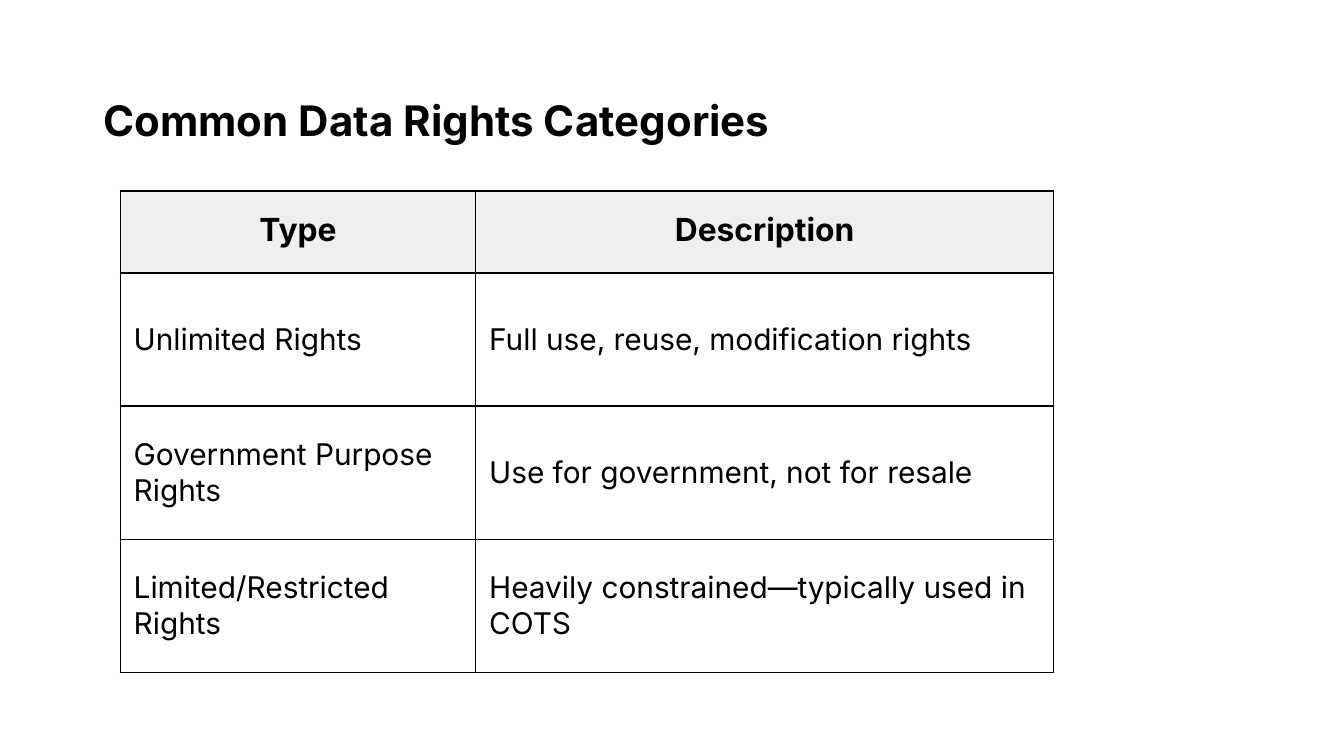
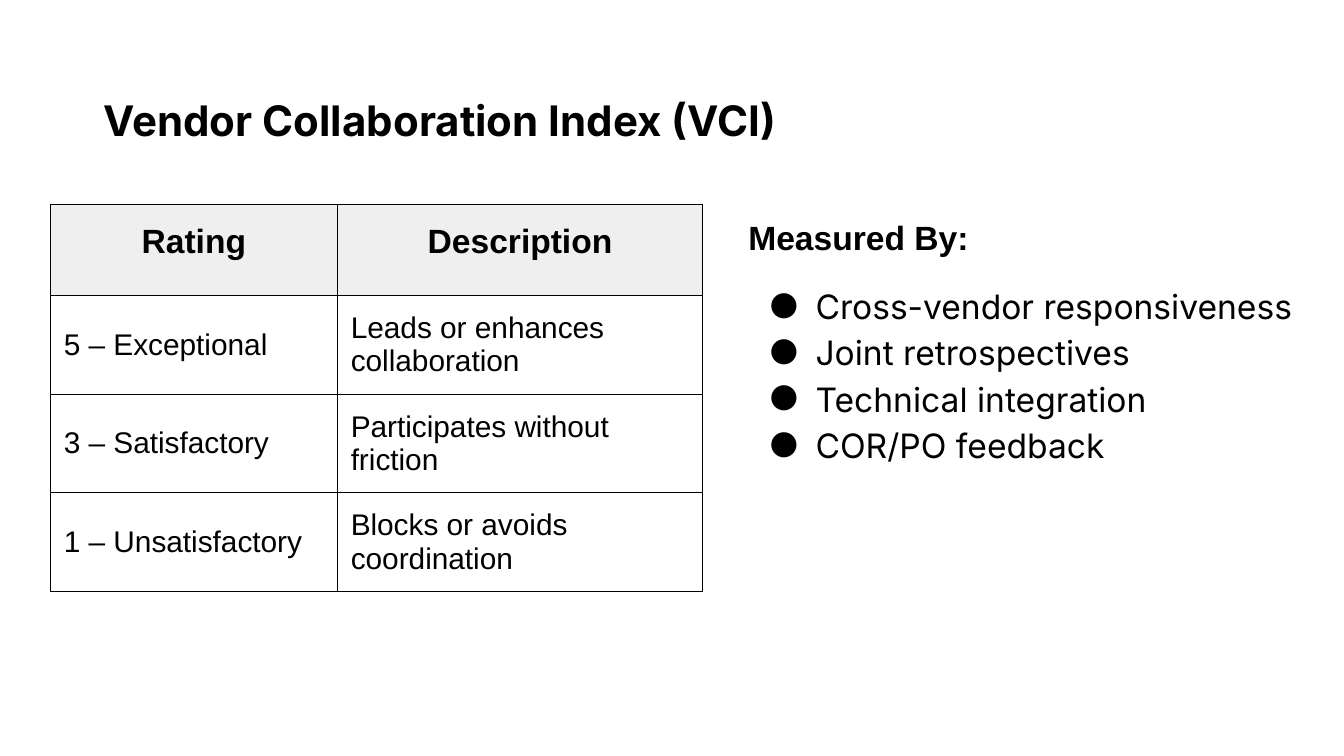
from lxml import etree
from pptx import Presentation
from pptx.dml.color import RGBColor
from pptx.enum.text import MSO_ANCHOR, PP_ALIGN
from pptx.oxml.ns import qn
from pptx.util import Inches, Pt

BLACK, GREY, WHITE = "000000", "EFEFEF", "FFFFFF"
HEAD_FONT = "Inter"
PAD = Inches(0.1)

prs = Presentation()
prs.slide_width, prs.slide_height = Inches(10), Inches(10) * 9 // 16
# Grid units: one percent of the slide's width and height
COL, ROW = prs.slide_width / 100, prs.slide_height / 100


def rgb(color):
    return RGBColor.from_string(color)


def style(p, font, size, bold=False, spacing=None):
    if spacing:
        p.line_spacing = spacing
    for r in p.runs:
        r.font.name, r.font.size, r.font.bold = font, Pt(size), bold
        r.font.color.rgb = rgb(BLACK)


# Places, widths and heights are in grid units
slides = [
    dict(title="Common Data Rights Categories", font="Inter", head_size=17,
         left=8.95, top=25.25, widths=[26.45, 43], head_row=10.85, body_row=17.62,
         rows=[("Type", "Description"),
               ("Unlimited Rights", "Full use, reuse, modification rights"),
               ("Government Purpose Rights", "Use for government, not for resale"),
               ("Limited/Restricted Rights",
                "Heavily constrained—typically used in COTS")]),
    dict(title="Vendor Collaboration Index (VCI)", font="Arial", head_size=18,
         left=3.75, top=27.02, widths=[21.35, 27.2], head_row=12.1, body_row=11,
         rows=[("Rating", "Description"),
               ("5 – Exceptional", "Leads or enhances collaboration"),
               ("3 – Satisfactory", "Participates without friction"),
               ("1 – Unsatisfactory", "Blocks or avoids coordination")]),
]

for data in slides:
    s = prs.slides.add_slide(prs.slide_layouts[6])
    s.background.fill.solid()
    s.background.fill.fore_color.rgb = rgb(WHITE)

    # Title
    sp = s.shapes.add_textbox(int(6.7 * COL), int(11.85 * ROW),
                              int(63.3 * COL), int(6.7 * ROW))
    tf = sp.text_frame
    tf.word_wrap, tf.vertical_anchor = True, MSO_ANCHOR.MIDDLE
    tf.text = data["title"]
    style(tf.paragraphs[0], HEAD_FONT, 22.5, True, 1.2)

    # Table
    rows, widths = data["rows"], data["widths"]
    heights = [data["head_row"]] + [data["body_row"]] * (len(rows) - 1)
    table = s.shapes.add_table(
        len(rows), len(widths), int(data["left"] * COL), int(data["top"] * ROW),
        int(sum(widths) * COL), int(sum(heights) * ROW)).table
    table.first_row = table.horz_banding = False
    for column, width in zip(table.columns, widths):
        column.width = int(width * COL)
    for i, texts in enumerate(rows):
        table.rows[i].height = int(heights[i] * ROW)
        for j, text in enumerate(texts):
            cell = table.cell(i, j)
            cell.margin_left = cell.margin_right = PAD
            cell.margin_top = cell.margin_bottom = PAD
            # Cell borders
            for side in ("lnL", "lnR", "lnT", "lnB"):
                ln = etree.SubElement(cell._tc.get_or_add_tcPr(),
                                      qn(f"a:{side}"), w=str(Pt(0.75)))
                fill = etree.SubElement(ln, qn("a:solidFill"))
                etree.SubElement(fill, qn("a:srgbClr"), val=BLACK)
            cell.text = text
            p = cell.text_frame.paragraphs[0]
            if i == 0:
                cell.fill.solid()
                cell.fill.fore_color.rgb = rgb(GREY)
                p.alignment = PP_ALIGN.CENTER
                style(p, data["font"], data["head_size"], True, 1.15)
            else:
                cell.fill.background()
                cell.vertical_anchor = MSO_ANCHOR.MIDDLE
                style(p, data["font"], 16)

# Measures beside the last table
sp = s.shapes.add_textbox(int(54.7 * COL), int(26.15 * ROW),
                          int(44 * COL), int(40.5 * ROW))
tf = sp.text_frame
tf.word_wrap = True
tf.margin_left = tf.margin_right = tf.margin_top = tf.margin_bottom = PAD
tf.text = "Measured By:"
style(tf.paragraphs[0], "Arial", 18, True, 1.15)
measures = ["Cross-vendor responsiveness", "Joint retrospectives",
            "Technical integration", "COR/PO feedback"]
for i, text in enumerate(measures):
    p = tf.add_paragraph()
    p.text = text
    p.space_before = Pt(0 if i else 12)
    pPr = p._p.get_or_add_pPr()
    pPr.set("marL", str(Inches(0.5)))
    pPr.set("indent", str(Inches(-0.35)))
    color = etree.SubElement(pPr, qn("a:buClr"))
    etree.SubElement(color, qn("a:srgbClr"), val=BLACK)
    etree.SubElement(pPr, qn("a:buFont"), typeface="Inter")
    etree.SubElement(pPr, qn("a:buChar"), char="●")
    style(p, "Inter", 18, False, 1.15)

prs.save("out.pptx")
